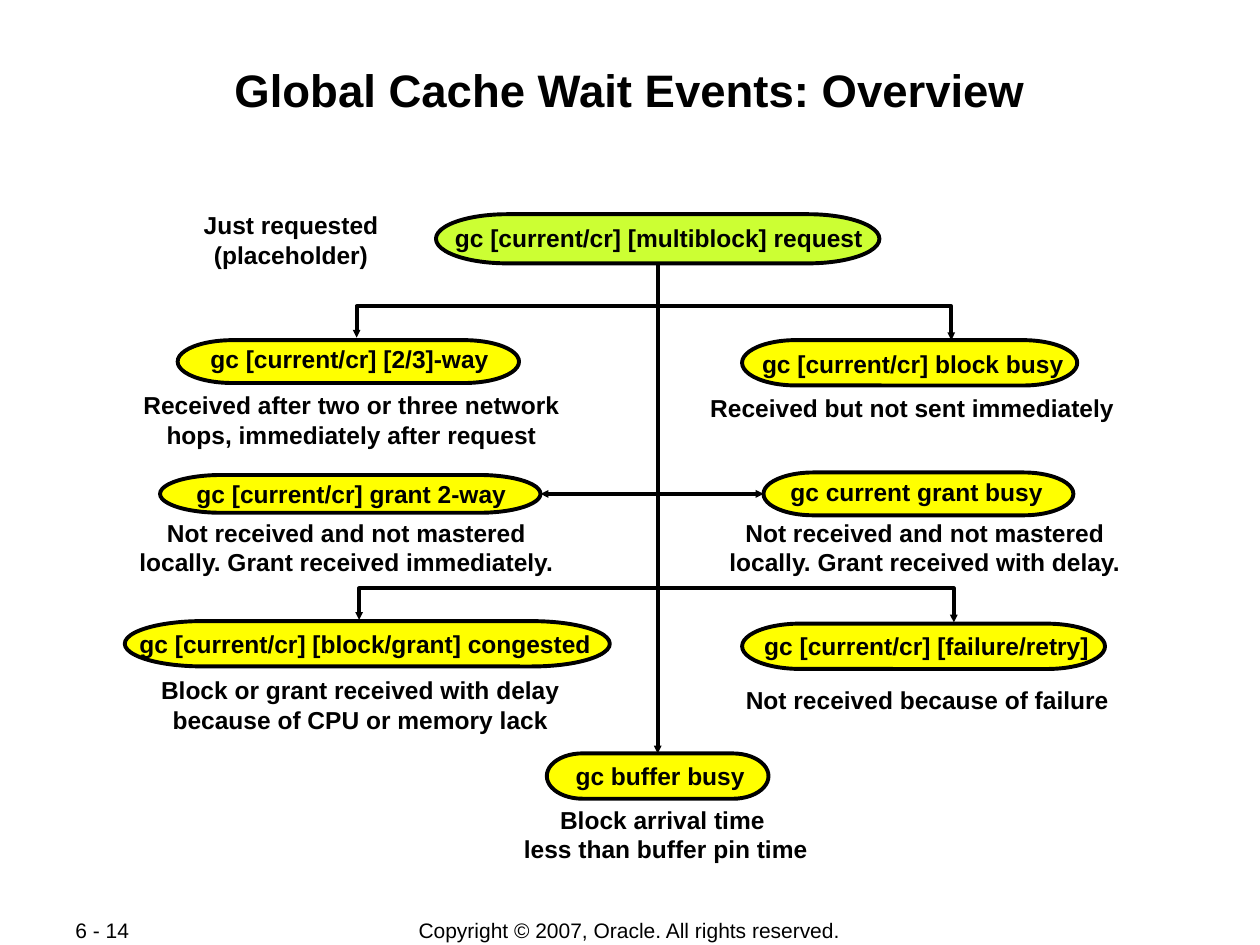
from lxml import etree
from pptx import Presentation
from pptx.dml.color import RGBColor
from pptx.enum import shapes, text
from pptx.oxml import ns
from pptx.util import Inches, Pt

FONT = "Arial"
BLACK = "000000"
YELLOW = "FFFF00"
GREEN = "CCFF33"
LABEL_HEIGHT = 0.34

EVENTS = {
    "request": ("gc [current/cr] [multiblock] request", GREEN,
                (3.46, 1.7, 3.52, 0.39), (3.51, 1.72, 3.44)),
    "way": ("gc [current/cr] [2/3]-way", YELLOW,
            (1.41, 2.7, 2.71, 0.34), (1.57, 2.68, 2.41)),
    "block busy": ("gc [current/cr] block busy", YELLOW,
                   (5.89, 2.7, 2.66, 0.36), (5.95, 2.72, 2.59)),
    "grant": ("gc [current/cr] grant 2-way", YELLOW,
              (1.27, 3.77, 3.02, 0.3), (1.46, 3.75, 2.66)),
    "grant busy": ("gc current grant busy", YELLOW,
                   (6.06, 3.75, 2.46, 0.34), (5.8, 3.74, 2.95)),
    "congested": ("gc [current/cr] [block/grant] congested", YELLOW,
                  (0.99, 4.93, 3.85, 0.36), (1.01, 4.94, 3.78)),
    "failure": ("gc [current/cr] [failure/retry]", YELLOW,
                (5.89, 4.95, 2.88, 0.36), (5.93, 4.96, 2.85)),
    "buffer busy": ("gc buffer busy", YELLOW,
                    (4.34, 5.98, 1.76, 0.36), (4.47, 5.99, 1.54)),
}

NOTES = [
    ("Just requested\v(placeholder)", (1.3, 1.62, 2.02, 0.57)),
    ("Received after two or three network hops, immediately after request",
     (0.79, 3.05, 4, 0.57)),
    ("Received but not sent immediately", (5.38, 3.07, 3.72, 0.34)),
    ("Not received and not mastered locally. Grant received immediately.",
     (0.98, 4.06, 3.54, 0.57)),
    ("Not received and not mastered locally. Grant received with delay.",
     (5.55, 4.06, 3.58, 0.57)),
    ("Block or grant received with delay because of CPU or memory lack",
     (1.09, 5.31, 3.54, 0.57)),
    ("Not received because of failure", (5.57, 5.39, 3.58, 0.34)),
    ("Block arrival time \vless than buffer pin time", (3.52, 6.34, 3.53, 0.57)),
]

BRANCHES = [
    [(2.83, 2.68), (2.83, 2.43), (7.55, 2.43), (7.55, 2.7)],
    [(2.85, 4.92), (2.85, 4.67), (7.57, 4.67), (7.57, 4.94)],
]


def color(value):
    return RGBColor.from_string(value)


def inches(values):
    return [Inches(value) for value in values]


def add_text(page, words, area, size=14, bold=True, wrap=True,
             align=text.PP_ALIGN.CENTER, anchor=text.MSO_ANCHOR.TOP):
    box = page.shapes.add_textbox(*inches(area))
    frame = box.text_frame
    frame.word_wrap = wrap
    frame.vertical_anchor = anchor
    frame.text = words
    para = frame.paragraphs[0]
    para.alignment = align
    for span in para.runs:
        span.font.name = FONT
        span.font.size = Pt(size)
        span.font.bold = bold
        span.font.color.rgb = color(BLACK)
    return box


def style_line(shape, ends=()):
    shape.line.color.rgb = color(BLACK)
    shape.line.width = Pt(2.25)
    outline = shape.line._get_or_add_ln()
    for end in ends:
        etree.SubElement(outline, ns.qn(f"a:{end}"),
                         type="triangle", w="sm", len="sm")


def add_event(page, words, fill, area, label_area):
    pill = page.shapes.add_shape(
        shapes.MSO_SHAPE.FLOWCHART_TERMINATOR, *inches(area))
    pill.shadow.inherit = False
    pill.fill.solid()
    pill.fill.fore_color.rgb = color(fill)
    style_line(pill)
    label = add_text(page, words, (*label_area, LABEL_HEIGHT), wrap=False)
    label.text_frame.margin_left = label.text_frame.margin_right = 0
    return pill


def add_link(page, start, start_site, finish, finish_site, ends):
    link = page.shapes.add_connector(shapes.MSO_CONNECTOR.STRAIGHT, 0, 0, 0, 0)
    link.begin_connect(start, start_site)
    link.end_connect(finish, finish_site)
    style_line(link, ends)
    etree.SubElement(link._element.spPr, ns.qn("a:effectLst"))


def add_branch(page, points):
    start, *rest = [inches(point) for point in points]
    builder = page.shapes.build_freeform(*start)
    builder.add_line_segments(rest, close=False)
    branch = builder.convert_to_shape()
    branch.shadow.inherit = False
    branch.fill.background()
    style_line(branch, ("headEnd", "tailEnd"))


def add_diagram(page):
    pills = {name: add_event(page, *event) for name, event in EVENTS.items()}
    for words, area in NOTES:
        add_text(page, words, area)
    add_link(page, pills["request"], 2, pills["buffer busy"], 0, ("tailEnd",))
    add_link(page, pills["grant"], 3, pills["grant busy"], 1,
             ("headEnd", "tailEnd"))
    for points in BRANCHES:
        add_branch(page, points)


def add_title(page, area):
    box = add_text(page, "Global Cache Wait Events: Overview", area, size=26)
    frame = box.text_frame
    frame.margin_left = frame.margin_right = Inches(0.01)
    frame.margin_top = frame.margin_bottom = Inches(0.01)


def add_footer(page, top):
    middle = text.MSO_ANCHOR.MIDDLE
    add_text(page, "Copyright © 2007, Oracle. All rights reserved.",
             (2.75, top, 4.49, 0.21), 12, False, False, anchor=middle)
    add_text(page, "6 - 14", (0.5, top, 1.06, 0.2), 12, False, True,
             text.PP_ALIGN.LEFT, middle)


def main():
    deck = Presentation()
    deck.slide_width, deck.slide_height = Inches(10), Inches(7.5)
    page = deck.slides.add_slide(deck.slide_layouts[6])
    add_footer(page, 7.28)
    add_title(page, (0.67, 0.48, 8.66, 0.96))
    add_diagram(page)
    deck.save("out.pptx")


if __name__ == "__main__":
    main()
